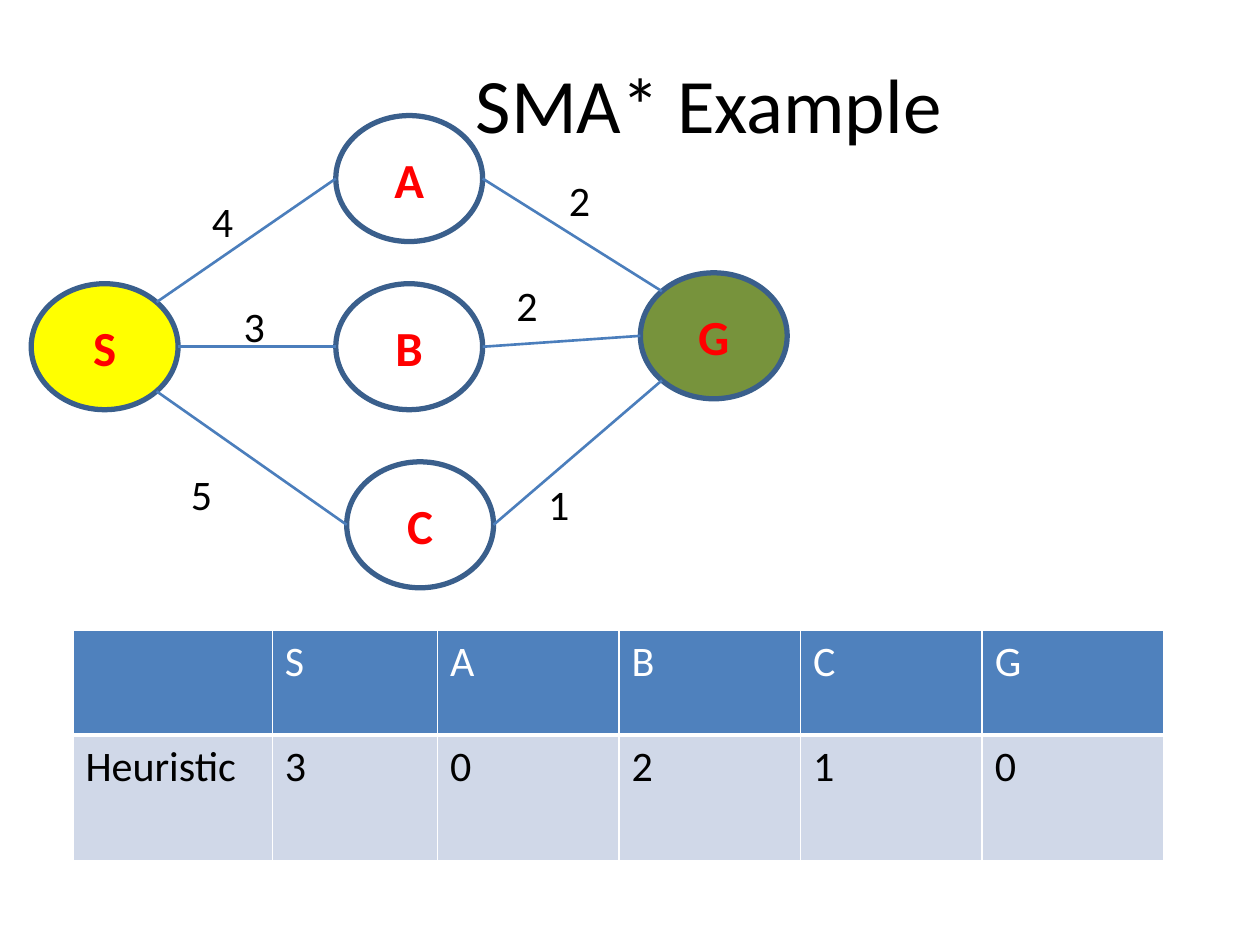
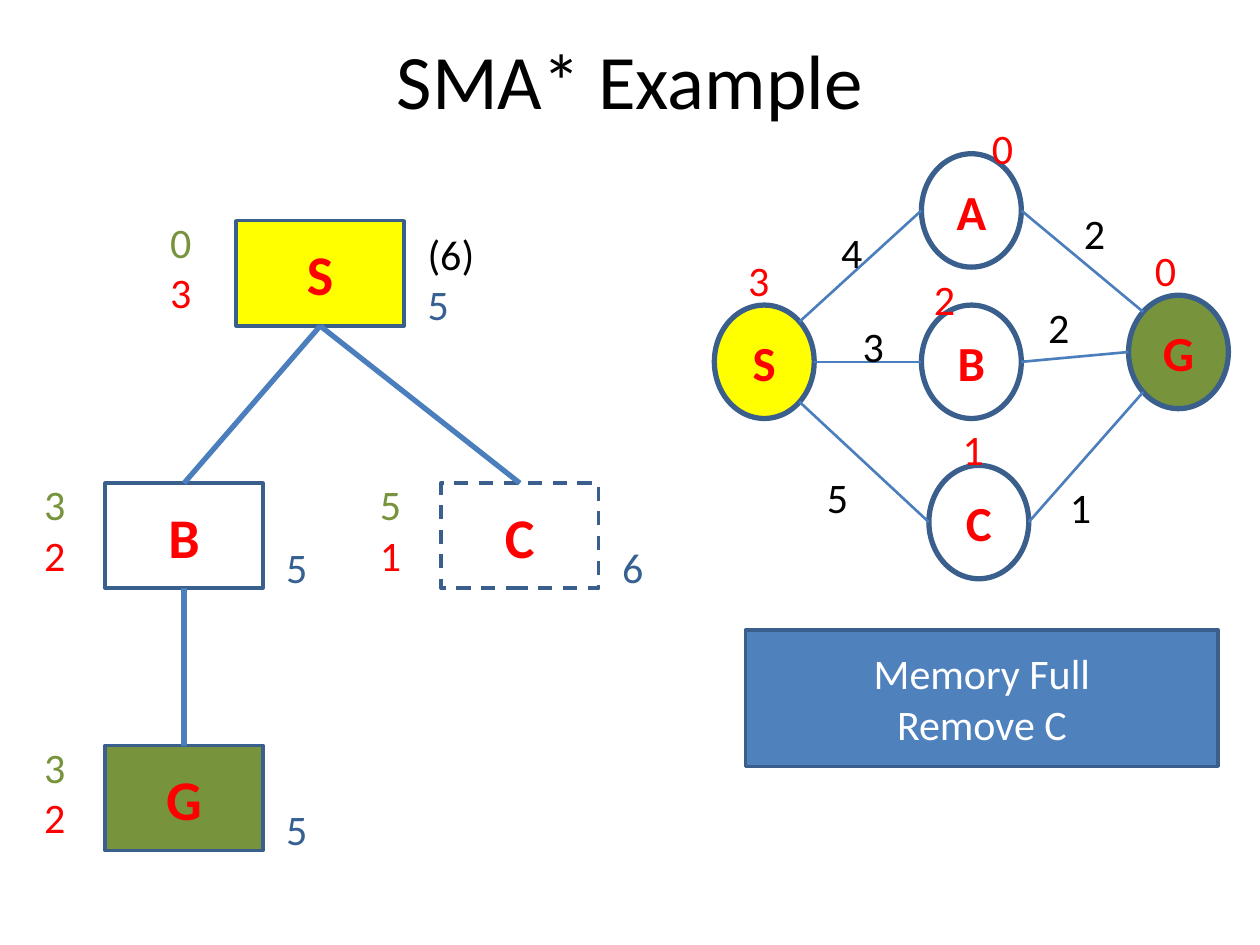
from dataclasses import dataclass
from lxml import etree
from pptx import Presentation, util as u
from pptx.dml.color import RGBColor
from pptx.enum import dml, shapes, text
from pptx.oxml import ns

# Content
TITLE = "SMA* Example"
COSTS = [["", "S", "A", "B", "C", "G"],
         ["Heuristic", "3", "0", "2", "1", "0"]]
NOTE = ["Memory Full", "Remove C"]

# Graph nodes: left, top, fill, then place of the heuristic label
NODES = {
    "S": (0.63, 5.72, "yellow", (0.43, -1.14)),
    "A": (6.77, 2.33, None, (1.17, -0.76)),
    "B": (6.77, 5.72, None, (0, -0.76)),
    "C": (6.99, 9.31, None, (0.43, -0.97)),
    "G": (12.91, 5.5, "green", (0.28, -1.14)),
}
NODE_W, NODE_H = 2.96, 2.54

# Graph edges: start, side, end, side, cost, label place
EDGES = [
    ("S", "upper right", "A", "left", "4", (4.02, 3.81)),
    ("S", "right", "B", "left", "3", (4.66, 5.93)),
    ("S", "lower right", "C", "left", "5", (3.6, 9.31)),
    ("A", "right", "G", "upper left", "2", (11.22, 3.39)),
    ("B", "right", "G", "left", "2", (10.16, 5.5)),
    ("C", "right", "G", "lower left", "1", (10.8, 9.53)),
]

# Search tree: left, top, width, gap, fill, dashed, path cost, heuristic, totals
TREE = {
    "S": (4.76, 4.45, 3.39, 1.58, "yellow", False, "0", "3",
          [("(6)", "black"), ("5", "navy")]),
    "B": (2.12, 9.74, 3.18, 1.48, "white", False, "3", "2", [("5", "navy")]),
    "C": (8.89, 9.74, 3.18, 1.48, "white", True, "5", "1", [("6", "navy")]),
    "G": (2.12, 15.03, 3.18, 1.48, "green", False, "3", "2", [("5", "navy")]),
}
LINKS = [("S", "B"), ("S", "C"), ("B", "G")]
TREE_H, LABEL_H = 2.12, 2.31


# Theme
@dataclass(frozen=True)
class Theme:
    font: str = "Calibri"
    black: str = "000000"
    white: str = "FFFFFF"
    red: str = "FF0000"
    yellow: str = "FFFF00"
    green: str = "77933C"
    navy: str = "376092"
    blue: str = "4F81BD"
    edge: str = "3A5F8C"
    line: str = "4B7EBC"
    pale: str = "D0D8E8"
    head: int = 44
    box: int = 32
    node: int = 28
    body: int = 24


LOOK = Theme()


def tint(name):
    return RGBColor.from_string(getattr(LOOK, name))


def place(*sizes):
    return [u.Cm(size) for size in sizes]


# Text and shapes
def write(frame, lines, size=LOOK.body, color="black", bold=False,
          align="LEFT", anchor="TOP"):
    """Each line is a string or a (string, colour) pair."""
    frame.word_wrap = True
    frame.vertical_anchor = getattr(text.MSO_ANCHOR, anchor)
    for i, line in enumerate(lines):
        words, hue = (line, color) if isinstance(line, str) else line
        para = frame.add_paragraph() if i else frame.paragraphs[0]
        para.alignment = getattr(text.PP_ALIGN, align)
        run = para.add_run()
        run.text = words
        font = run.font
        font.name, font.size, font.bold = LOOK.font, u.Pt(size), bold
        font.color.rgb = tint(hue)


def label(slide, box, lines, **style):
    write(slide.shapes.add_textbox(*place(*box)).text_frame, lines, **style)


def block(slide, kind, box, lines, fill, width, dash=False, **style):
    shape = slide.shapes.add_shape(kind, *place(*box))
    shape.shadow.inherit = False
    if fill:
        shape.fill.solid()
        shape.fill.fore_color.rgb = tint(fill)
    else:
        shape.fill.background()
    shape.line.color.rgb = tint("edge")
    shape.line.width = u.Pt(width)
    if dash:
        shape.line.dash_style = dml.MSO_LINE.DASH
    write(shape.text_frame, lines, align="CENTER", anchor="MIDDLE", **style)
    return shape


def join(slide, ends, width):
    line = slide.shapes.add_connector(shapes.MSO_CONNECTOR.STRAIGHT, *place(*ends))
    line.line.color.rgb = tint("line")
    line.line.width = u.Pt(width)
    etree.SubElement(line._element.spPr, ns.qn("a:effectLst"))
    return line


def start(deck, box):
    slide = deck.slides.add_slide(deck.slide_layouts[5])
    title = slide.shapes.title
    title.left, title.top, title.width, title.height = place(*box)
    write(title.text_frame, [TITLE], size=LOOK.head, align="CENTER", anchor="MIDDLE")
    return slide


# Graph, scaled about its top left corner
def graph(slide, left=0.63, top=2.33, wide=1, tall=1, hints=False):
    def spot(x, y):
        return left + (x - 0.63) * wide, top + (y - 2.33) * tall

    def rim(name, side):
        x, y = NODES[name][:2]
        reach = 0.5 if side in ("left", "right") else 0.5 ** 1.5
        across = reach if "right" in side else -reach
        down = reach * (("lower" in side) - ("upper" in side))
        return spot(x + NODE_W * (0.5 + across), y + NODE_H * (0.5 + down))

    for name, (x, y, fill, _) in NODES.items():
        block(slide, shapes.MSO_SHAPE.OVAL,
              (*spot(x, y), NODE_W * wide, NODE_H * tall), [name],
              fill, 3, size=LOOK.node, color="red", bold=True)
    for a, out, b, into, _, _ in EDGES:
        join(slide, (*rim(a, out), *rim(b, into)), 1.5)

    size = 2.54 * wide, 1.27 * tall
    for *_, cost, at in EDGES:
        label(slide, (*spot(*at), *size), [cost])
    if hints:
        for name, hint in zip(COSTS[0][1:], COSTS[1][1:]):
            x, y, _, (dx, dy) = NODES[name]
            x, y = spot(x, y)
            label(slide, (x + dx, y + dy, *size), [hint], color="red")


# Heuristic table
def border(cell, side, width):
    line = etree.SubElement(cell._tc.get_or_add_tcPr(), ns.qn("a:ln" + side),
                            w=str(u.Pt(width)))
    fill = etree.SubElement(line, ns.qn("a:solidFill"))
    etree.SubElement(fill, ns.qn("a:srgbClr"), val=LOOK.white)


def grid(slide):
    wide, tall = [4.02, 3.33] + [3.66] * 4, [2.12, 2.54]
    table = slide.shapes.add_table(
        2, 6, *place(1.47, 12.7, sum(wide), sum(tall))).table
    for col, size in zip(table.columns, wide):
        col.width = u.Cm(size)
    for r, row in enumerate(COSTS):
        table.rows[r].height = u.Cm(tall[r])
        for c, words in enumerate(row):
            cell = table.cell(r, c)
            for side in "LRTB":
                border(cell, side, 3 if (r, side) in ((0, "B"), (1, "T")) else 1)
            cell.fill.solid()
            cell.fill.fore_color.rgb = tint("pale" if r else "blue")
            if words:
                write(cell.text_frame, [words], color="black" if r else "white")


# Search tree
def tree(slide):
    made = {}
    for name, (x, y, w, gap, fill, dash, path, hint, totals) in TREE.items():
        made[name] = block(slide, shapes.MSO_SHAPE.RECTANGLE, (x, y, w, TREE_H),
                           [name], fill, 2, dash, size=LOOK.box, color="red", bold=True)
        label(slide, (x - gap, y - 0.21, 1.3, LABEL_H),
              [(path, "green"), (hint, "red")])
        label(slide, (x + w + 0.22, y, 1.8, LABEL_H), totals, anchor="BOTTOM")
    for a, b in LINKS:
        line = join(slide, (0, 0, 1, 1), 3)
        line.begin_connect(made[a], 2)
        line.end_connect(made[b], 0)


def main():
    deck = Presentation()
    deck.slide_width, deck.slide_height = place(25.4, 19.05)

    # Problem graph and heuristics
    slide = start(deck, (4.45, 0.76, 19.68, 2.62))
    grid(slide)
    graph(slide)

    # Search step
    slide = start(deck, (1.27, 0.42, 22.86, 2.33))
    graph(slide, 14.4, 3.1, 0.68, 0.9, hints=True)
    block(slide, shapes.MSO_SHAPE.RECTANGLE, (15.03, 12.7, 9.53, 2.75),
          NOTE, "blue", 2, color="white")
    tree(slide)

    deck.save("out.pptx")


if __name__ == "__main__":
    main()
